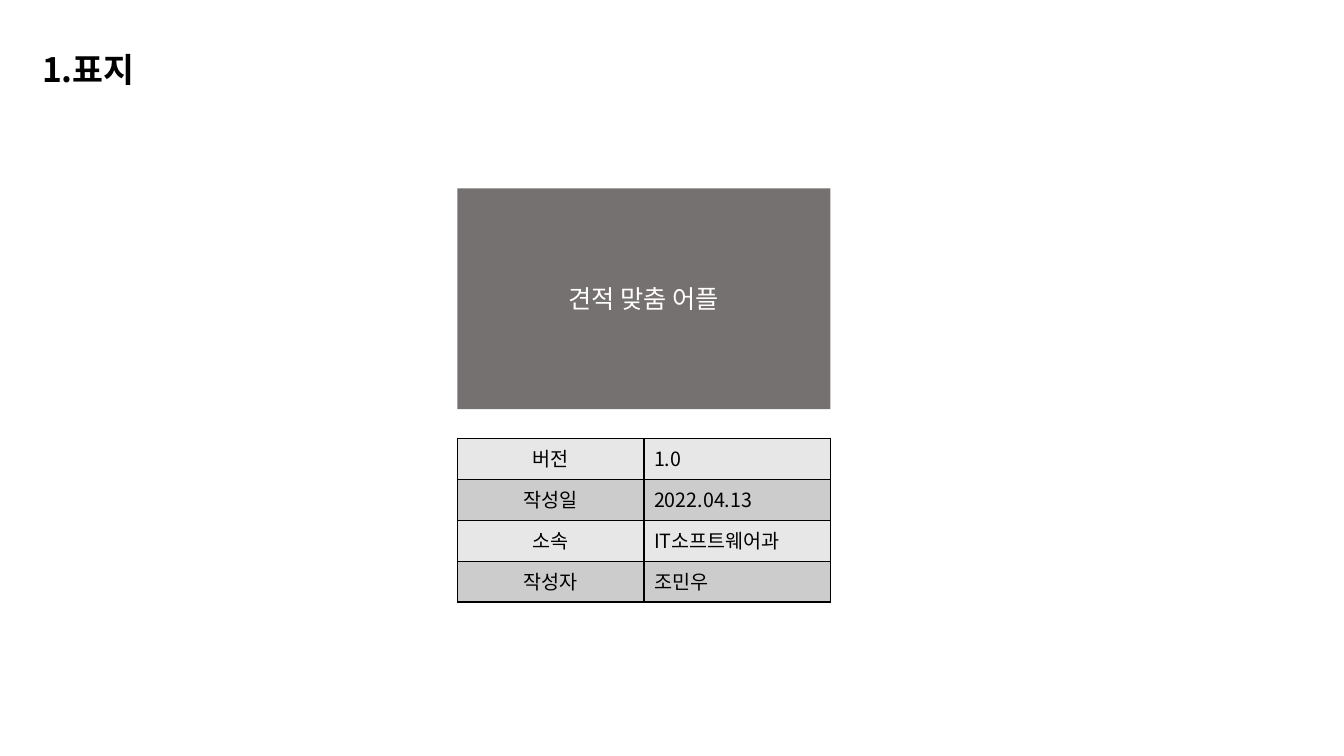
from lxml.etree import SubElement
from pptx import Presentation
from pptx.dml.color import RGBColor
from pptx.enum.shapes import MSO_SHAPE as Shape
from pptx.enum.text import MSO_ANCHOR as Anchor, MSO_AUTO_SIZE as AutoSize, PP_ALIGN as Align
from pptx.oxml.ns import qn
from pptx.util import Cm, Pt

FONT = "Noto Sans CJK KR"


def color(value):
    return RGBColor.from_string(value)


def write(frame, text, size, ink, align=Align.LEFT, bold=False):
    frame.text = text
    para = frame.paragraphs[0]
    para.alignment = align
    font = para.runs[0].font
    font.name = FONT
    font.size = Pt(size)
    font.bold = bold
    font.color.rgb = color(ink)
    SubElement(font._element, qn("a:ea"), typeface=FONT)


deck = Presentation()
deck.slide_width = Cm(33.87)
deck.slide_height = Cm(19.05)
page = deck.slides.add_slide(deck.slide_layouts[6])

heading = page.shapes.add_textbox(Cm(0.81), Cm(1.12), Cm(2.95), Cm(1.27))
heading.text_frame.word_wrap = False
heading.text_frame.auto_size = AutoSize.SHAPE_TO_FIT_TEXT
write(heading.text_frame, "1.표지", 24, "000000", bold=True)

left, width = Cm(11.53), Cm(9.4)

cover = page.shapes.add_shape(Shape.RECTANGLE, left, Cm(4.75), width, Cm(5.56))
cover.shadow.inherit = False
cover.fill.solid()
cover.fill.fore_color.rgb = color("767171")
cover.line.fill.background()
cover.text_frame.vertical_anchor = Anchor.MIDDLE
write(cover.text_frame, "견적 맞춤 어플", 18, "FFFFFF", Align.CENTER)

details = [
    ("버전", "1.0"),
    ("작성일", "2022.04.13"),
    ("소속", "IT소프트웨어과"),
    ("작성자", "조민우"),
]
row_height = Cm(1.03)
table = page.shapes.add_table(
    len(details), 2, left, Cm(11.05), width, row_height * len(details)
).table
table.first_row = False
table.horz_banding = False

for row, texts in enumerate(details):
    table.rows[row].height = row_height
    for column, text in enumerate(texts):
        cell = table.cell(row, column)
        write(cell.text_frame, text, 14, "000000", (Align.CENTER, Align.LEFT)[column])
        properties = cell._tc.get_or_add_tcPr()
        for side in ("lnL", "lnR", "lnT", "lnB"):
            border = SubElement(properties, qn(f"a:{side}"), w=str(Pt(1)))
            border_fill = SubElement(border, qn("a:solidFill"))
            SubElement(border_fill, qn("a:srgbClr"), val="000000")
        cell.fill.solid()
        cell.fill.fore_color.rgb = color(("E7E7E7", "CCCCCC")[row % 2])

deck.save("out.pptx")
